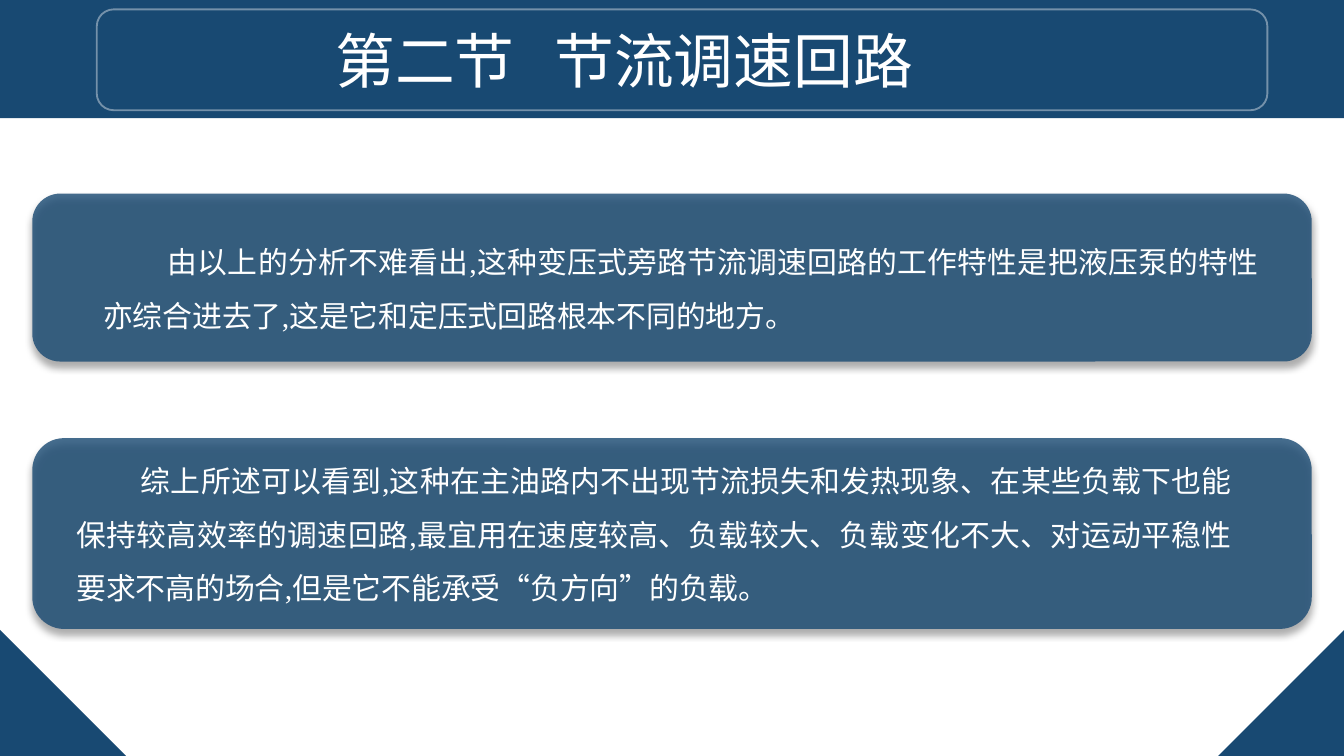
from lxml.etree import SubElement
from pptx import Presentation
from pptx.dml.color import RGBColor
from pptx.enum.shapes import MSO_SHAPE as Shape
from pptx.enum.text import MSO_ANCHOR as Anchor, PP_ALIGN as Align
from pptx.oxml.ns import qn
from pptx.util import Inches, Pt

WIDTH = 10
HEIGHT = WIDTH * 9 / 16
NAVY, WHITE, BLACK = "184972", "FFFFFF", "000000"
CJK_FONT, BODY_FONT = "Noto Sans CJK SC", "Times New Roman"
BANNER_HEIGHT = 0.88
CORNER = HEIGHT / 6
MARGIN = 0.24

CONCLUSIONS = [
    # panel top, panel height, text left, text top, text height, text
    (1.44, 1.25, 0.67, 1.63, 0.86,
     "由以上的分析不难看出,这种变压式旁路节流调速回路的工作特性是把液压泵的特性亦综合进去了,"
     "这是它和定压式回路根本不同的地方。"),
    (3.26, 1.42, 0.47, 3.26, 1.31,
     "综上所述可以看到,这种在主油路内不出现节流损失和发热现象、在某些负载下也能保持较高效率的"
     "调速回路,最宜用在速度较高、负载较大、负载变化不大、对运动平稳性要求不高的场合,"
     "但是它不能承受“负方向”的负载。"),
]


def inches(box):
    return [Inches(length) for length in box]


def paint(color_format, color, opacity=100):
    """Set a hex colour, with opacity in percent."""
    color_format.rgb = RGBColor.from_string(color)
    if opacity < 100:
        element = color_format._xFill.find(qn("a:srgbClr"))
        SubElement(element, qn("a:alpha"), val=str(opacity * 1000))


def add_block(slide, kind, box, fill=None, opacity=100):
    shape = slide.shapes.add_shape(kind, *inches(box))
    shape.shadow.inherit = False
    shape.line.fill.background()
    if fill:
        shape.fill.solid()
        paint(shape.fill.fore_color, fill, opacity)
    else:
        shape.fill.background()
    return shape


def add_drop_shadow(shape):
    effects = shape._element.spPr.find(qn("a:effectLst"))
    shadow = SubElement(effects, qn("a:outerShdw"), blurRad=str(Pt(4)), dist=str(Pt(3)),
                        dir="5400000", rotWithShape="0")
    color = SubElement(shadow, qn("a:srgbClr"), val=BLACK)
    SubElement(color, qn("a:alpha"), val="40000")


def format_runs(paragraph, font, size):
    for run in paragraph.runs:
        run.font.name = font
        run.font.size = Pt(size)
        run.font.bold = False
        paint(run.font.color, WHITE)
        SubElement(run.font._element, qn("a:ea"), typeface=CJK_FONT)


def add_banner(slide, box):
    left, top, width, height = box
    add_block(slide, Shape.RECTANGLE, box, NAVY)
    frame = add_block(slide, Shape.ROUNDED_RECTANGLE, (left + 0.72, top + 0.07, 8.71, 0.75))
    frame.line.width = Pt(1)
    frame.line.fill.solid()
    paint(frame.line.color, WHITE, 40)

    title = slide.shapes.title
    title.left, title.top, title.width, title.height = inches((left + 0.47, top + 0.12, 8.35, 0.64))
    slide.shapes._spTree.append(title._element)
    title.text_frame.vertical_anchor = Anchor.MIDDLE
    paragraph = title.text_frame.paragraphs[0]
    paragraph.alignment = Align.CENTER
    for text in ("第二节", " ", "节流调速回路"):
        paragraph.add_run().text = text
    format_runs(paragraph, CJK_FONT, 32)
    gap = paragraph.runs[1]
    gap.font._element.set("spc", "1400")


def add_corners(slide, box):
    """Put a triangle in each bottom corner of the box."""
    left, top, width, height = box
    for x, rotation in ((left, 0), (left + width - CORNER, 270)):
        corner = (x, top + height - CORNER, CORNER, CORNER)
        add_block(slide, Shape.RIGHT_TRIANGLE, corner, NAVY).rotation = rotation


def add_panel(slide, box, text_box, text):
    panel = add_block(slide, Shape.ROUNDED_RECTANGLE, box, NAVY, 80)
    add_drop_shadow(panel)
    frame = slide.shapes.add_textbox(*inches(text_box)).text_frame
    frame.word_wrap = True
    frame.text = text
    paragraph = frame.paragraphs[0]
    paragraph.alignment = Align.JUSTIFY
    paragraph.line_spacing = 1.5
    paragraph._p.get_or_add_pPr().set("indent", str(Inches(0.48)))
    format_runs(paragraph, BODY_FONT, 16)


def main():
    presentation = Presentation()
    presentation.slide_width, presentation.slide_height = inches((WIDTH, HEIGHT))
    slide = presentation.slides.add_slide(presentation.slide_layouts[5])
    add_banner(slide, (0, 0, WIDTH, BANNER_HEIGHT))
    for top, height, text_left, text_top, text_height, text in CONCLUSIONS:
        add_panel(slide, (MARGIN, top, WIDTH - 2 * MARGIN, height),
                  (text_left, text_top, 8.8, text_height), text)
    add_corners(slide, (0, 0, WIDTH, HEIGHT))
    presentation.save("out.pptx")


if __name__ == "__main__":
    main()
